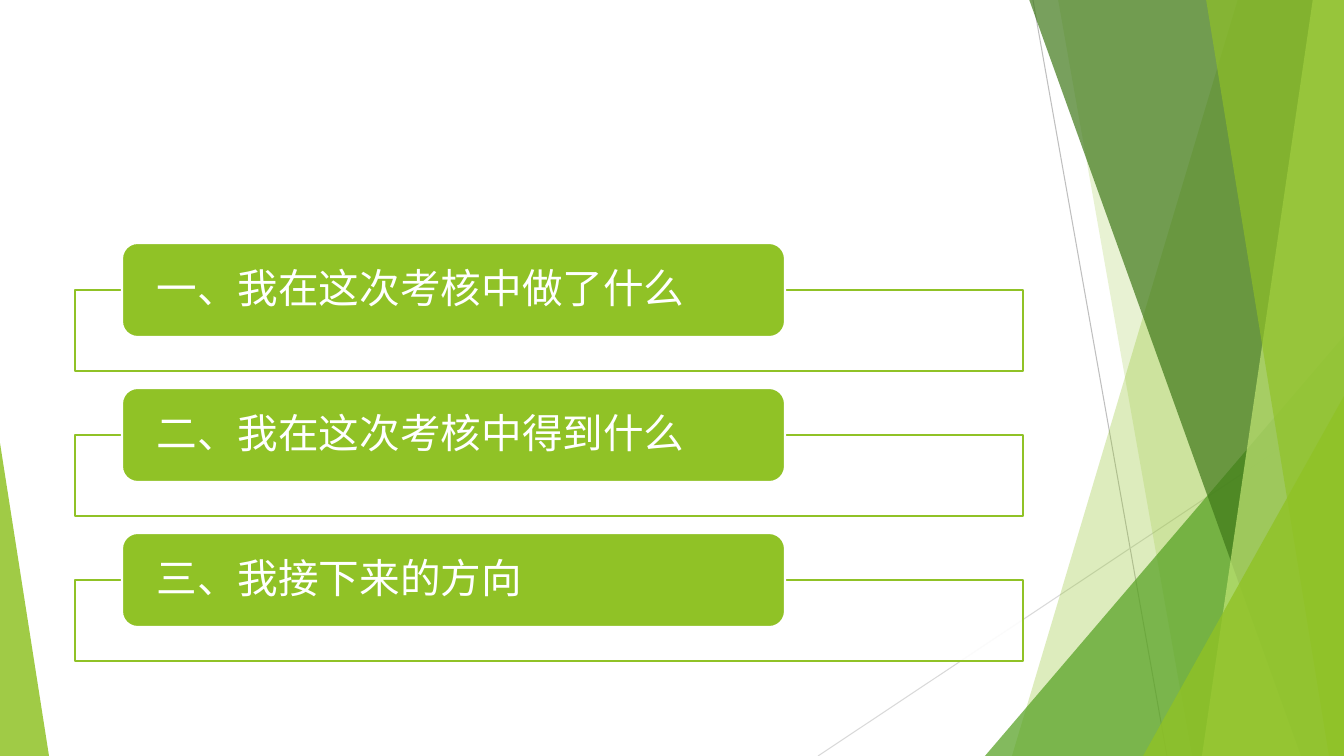
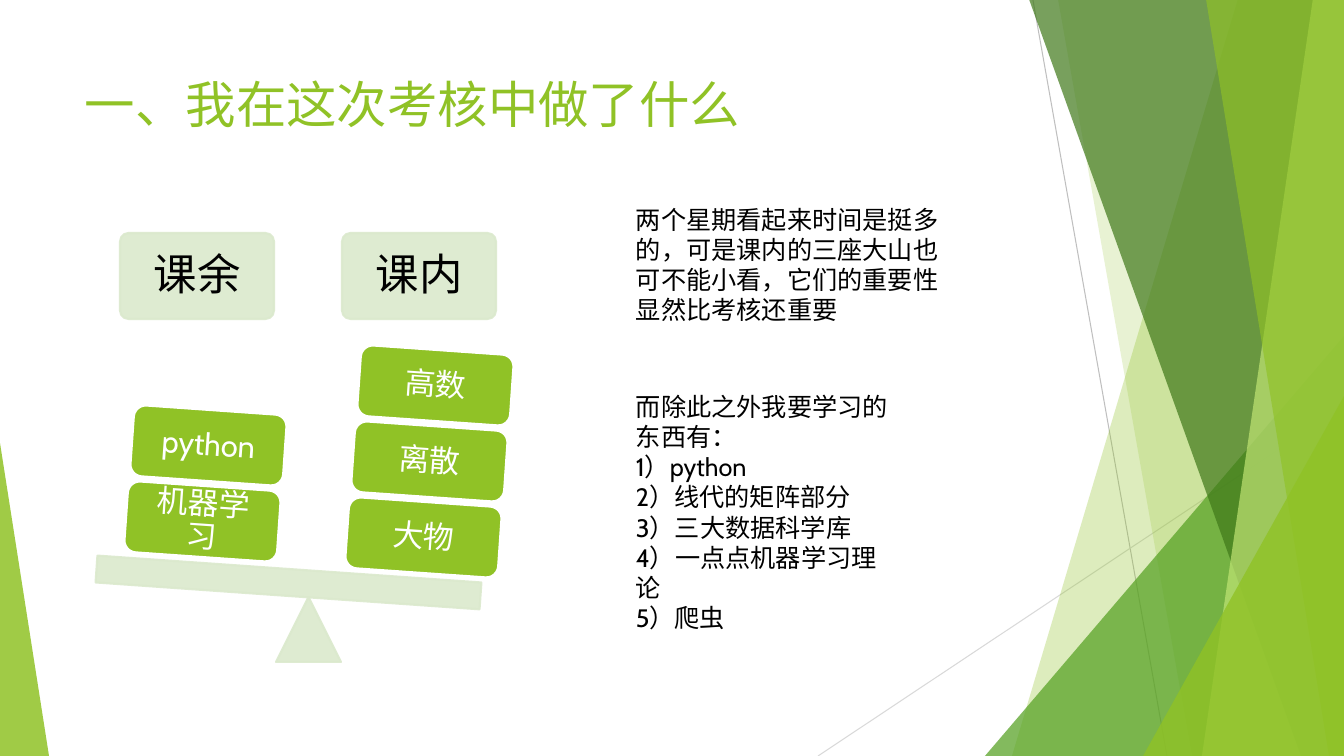
from dataclasses import dataclass

from lxml.etree import SubElement
from pptx import Presentation
from pptx.dml.color import RGBColor
from pptx.enum.shapes import MSO_CONNECTOR, MSO_SHAPE
from pptx.enum.text import MSO_ANCHOR, MSO_AUTO_SIZE, PP_ALIGN
from pptx.oxml.ns import qn
from pptx.shapes.autoshape import Shape
from pptx.slide import Slide
from pptx.util import Emu, Pt

PIXEL = 914400 / 100.8
WIDTH, HEIGHT = 1344, 756
FONT = "Cabin"
LIME = RGBColor(0x90, 0xC2, 0x26)
LEAF = RGBColor(0x54, 0xA0, 0x21)
FOREST = RGBColor(0x3F, 0x78, 0x19)
SPRING = RGBColor(0xC0, 0xE4, 0x74)
MIST = RGBColor(0xDB, 0xE9, 0xCD)
SILVER = RGBColor(0xBF, 0xBF, 0xBF)
PALE_GREY = RGBColor(0xD9, 0xD9, 0xD9)
WHITE = RGBColor(0xFF, 0xFF, 0xFF)
BLACK = RGBColor(0x00, 0x00, 0x00)


@dataclass(frozen=True)
class Box:
    left: int
    top: int
    width: int
    height: int


@dataclass(frozen=True)
class Look:
    fill: RGBColor
    opacity: int = 100
    line: RGBColor | None = None
    line_opacity: int = 100


@dataclass(frozen=True)
class Label:
    size: int
    color: RGBColor
    inset_x: int
    inset_y: int
    alignment: PP_ALIGN = PP_ALIGN.CENTER


@dataclass(frozen=True)
class Ray:
    start: tuple[int, int]
    end: tuple[int, int]
    color: RGBColor


@dataclass(frozen=True)
class Band:
    top_x: int
    bottom_x: int
    look: Look


@dataclass(frozen=True)
class Wedge:
    left: int
    top: int
    width: int
    apex: int
    look: Look


@dataclass(frozen=True)
class Stack:
    left: int
    bottom_block_top: int
    words: tuple[str, ...]


RAYS = (
    Ray((1033, 0), (1167, HEIGHT), SILVER),
    Ray((WIDTH, 406), (818, HEIGHT), PALE_GREY),
)
FACETS = (
    Band(1238, 1012, Look(LIME, 30)),
    Band(1058, 1192, Look(LIME, 20)),
    Wedge(985, 336, 359, 1, Look(LEAF, 72)),
    Band(1029, 1301, Look(FOREST, 70)),
    Band(1313, 1202, Look(SPRING, 70)),
    Band(1206, 1329, Look(LIME, 65)),
    Wedge(1143, 396, 201, 1, Look(LIME, 80)),
    Wedge(0, 443, 49, 0, Look(LIME, 85)),
)

FRAME = Look(WHITE, 90, LIME)
BUTTON = Look(LIME, line=WHITE)
PALE = Look(MIST, 90, MIST, 90)
TOPIC_LABEL = Label(29, WHITE, 30, 0, PP_ALIGN.LEFT)
HEADING_LABEL = Label(31, BLACK, 15, 15)
BLOCK_LABEL = Label(22, WHITE, 12, 12)

TOPICS = (
    "一、我在这次考核中做了什么",
    "二、我在这次考核中得到什么",
    "三、我接下来的方向",
)
TOPIC_PITCH = 145
TILT = 4
BLOCK_STEP_X, BLOCK_STEP_Y = 6, -76
HEADINGS = ("课余", "课内")
HEADING_PITCH = 222
STACKS = (
    Stack(347, 502, ("大物", "离散", "高数")),
    Stack(126, 486, ("机器学习", "python")),
)
REMARK = ("两个星期看起来时间是挺多的，可是课内的三座大山也可不能小看，它们的重要性显然比考核还重要",)
STUDY_LIST = (
    "而除此之外我要学习的东西有：",
    "1）python",
    "2）线代的矩阵部分",
    "3）三大数据科学库",
    "4）一点点机器学习理论",
    "5）爬虫",
)


def emu(pixels: int) -> Emu:
    return Emu(round(pixels * PIXEL))


def place(box: Box) -> tuple[Emu, Emu, Emu, Emu]:
    return emu(box.left), emu(box.top), emu(box.width), emu(box.height)


def set_opacity(shape: Shape, parent: str, percent: int) -> None:
    if percent < 100:
        color = shape._element.spPr.find(f"{parent}{qn('a:solidFill')}/{qn('a:srgbClr')}")
        SubElement(color, qn("a:alpha")).set("val", str(percent * 1000))


def apply_look(shape: Shape, look: Look) -> None:
    shape.shadow.inherit = False
    shape.fill.solid()
    shape.fill.fore_color.rgb = look.fill
    set_opacity(shape, "", look.opacity)
    if look.line is None:
        shape.line.fill.background()
    else:
        shape.line.color.rgb = look.line
        shape.line.width = Pt(1.5)
        set_opacity(shape, f"{qn('a:ln')}/", look.line_opacity)


def add_block(slide: Slide, kind: MSO_SHAPE, box: Box, look: Look, rotation: int = 0) -> Shape:
    shape = slide.shapes.add_shape(kind, *place(box))
    shape.rotation = rotation
    apply_look(shape, look)
    return shape


def write_label(shape: Shape, text: str, label: Label) -> None:
    frame = shape.text_frame
    frame.word_wrap = True
    frame.vertical_anchor = MSO_ANCHOR.MIDDLE
    frame.margin_left = frame.margin_right = emu(label.inset_x)
    frame.margin_top = frame.margin_bottom = emu(label.inset_y)
    paragraph = frame.paragraphs[0]
    paragraph.text = text
    paragraph.alignment = label.alignment
    paragraph.line_spacing = 0.9
    paragraph.font.name = FONT
    paragraph.font.size = Pt(label.size)
    paragraph.font.color.rgb = label.color


def add_text(slide: Slide, box: Box, lines: tuple[str, ...], size: int, color: RGBColor) -> Shape:
    shape = slide.shapes.add_textbox(*place(box))
    frame = shape.text_frame
    frame.word_wrap = True
    frame.text = "\n".join(lines)
    for paragraph in frame.paragraphs:
        paragraph.font.name = FONT
        paragraph.font.size = Pt(size)
        paragraph.font.color.rgb = color
    return shape


def add_note(slide: Slide, box: Box, lines: tuple[str, ...]) -> None:
    shape = add_text(slide, box, lines, 18, BLACK)
    shape.text_frame.auto_size = MSO_AUTO_SIZE.SHAPE_TO_FIT_TEXT


def add_title(slide: Slide, text: str) -> None:
    add_text(slide, Box(75, 68, 948, 145), (text,), 36, LIME)


def add_ray(slide: Slide, ray: Ray) -> None:
    start = map(emu, ray.start)
    end = map(emu, ray.end)
    connector = slide.shapes.add_connector(MSO_CONNECTOR.STRAIGHT, *start, *end)
    connector.line.color.rgb = ray.color
    connector.line.width = Pt(0.75)
    SubElement(connector._element.spPr, qn("a:effectLst"))


def add_band(slide: Slide, band: Band) -> None:
    builder = slide.shapes.build_freeform(band.top_x, -1, scale=PIXEL)
    builder.add_line_segments([(WIDTH, -1), (WIDTH, HEIGHT), (band.bottom_x, HEIGHT)])
    apply_look(builder.convert_to_shape(), band.look)


def add_wedge(slide: Slide, wedge: Wedge) -> None:
    box = Box(wedge.left, wedge.top, wedge.width, HEIGHT - wedge.top)
    shape = add_block(slide, MSO_SHAPE.ISOSCELES_TRIANGLE, box, wedge.look)
    shape.adjustments[0] = wedge.apex


def add_decorated_slide(presentation: Presentation) -> Slide:
    slide = presentation.slides.add_slide(presentation.slide_layouts[6])
    for ray in RAYS:
        add_ray(slide, ray)
    for facet in FACETS:
        if isinstance(facet, Band):
            add_band(slide, facet)
        else:
            add_wedge(slide, facet)
    return slide


def build_agenda(presentation: Presentation) -> None:
    slide = add_decorated_slide(presentation)
    for index, topic in enumerate(TOPICS):
        offset = index * TOPIC_PITCH
        add_block(slide, MSO_SHAPE.RECTANGLE, Box(75, 290 + offset, 948, 81), FRAME)
        bar_box = Box(122, 243 + offset, 663, 94)
        bar = add_block(slide, MSO_SHAPE.ROUNDED_RECTANGLE, bar_box, BUTTON)
        write_label(bar, topic, TOPIC_LABEL)


def add_balance(slide: Slide) -> None:
    for index, heading in enumerate(HEADINGS):
        box = Box(120 + index * HEADING_PITCH, 233, 154, 86)
        shape = add_block(slide, MSO_SHAPE.ROUNDED_RECTANGLE, box, PALE)
        shape.adjustments[0] = 0.1
        write_label(shape, heading, HEADING_LABEL)
    add_block(slide, MSO_SHAPE.ISOSCELES_TRIANGLE, Box(276, 597, 65, 65), PALE)
    add_block(slide, MSO_SHAPE.RECTANGLE, Box(96, 569, 385, 27), PALE, TILT)
    for stack in STACKS:
        for level, word in enumerate(stack.words):
            left = stack.left + level * BLOCK_STEP_X
            top = stack.bottom_block_top + level * BLOCK_STEP_Y
            box = Box(left, top, 153, 71)
            block = add_block(slide, MSO_SHAPE.ROUNDED_RECTANGLE, box, BUTTON, TILT)
            write_label(block, word, BLOCK_LABEL)


def build_work_done(presentation: Presentation) -> None:
    slide = add_decorated_slide(presentation)
    add_title(slide, TOPICS[0])
    add_balance(slide)
    add_note(slide, Box(626, 199, 324, 132), REMARK)
    add_note(slide, Box(626, 386, 285, 254), STUDY_LIST)


def main() -> None:
    presentation = Presentation()
    presentation.slide_width = emu(WIDTH)
    presentation.slide_height = emu(HEIGHT)
    build_agenda(presentation)
    build_work_done(presentation)
    presentation.save("out.pptx")


main()
